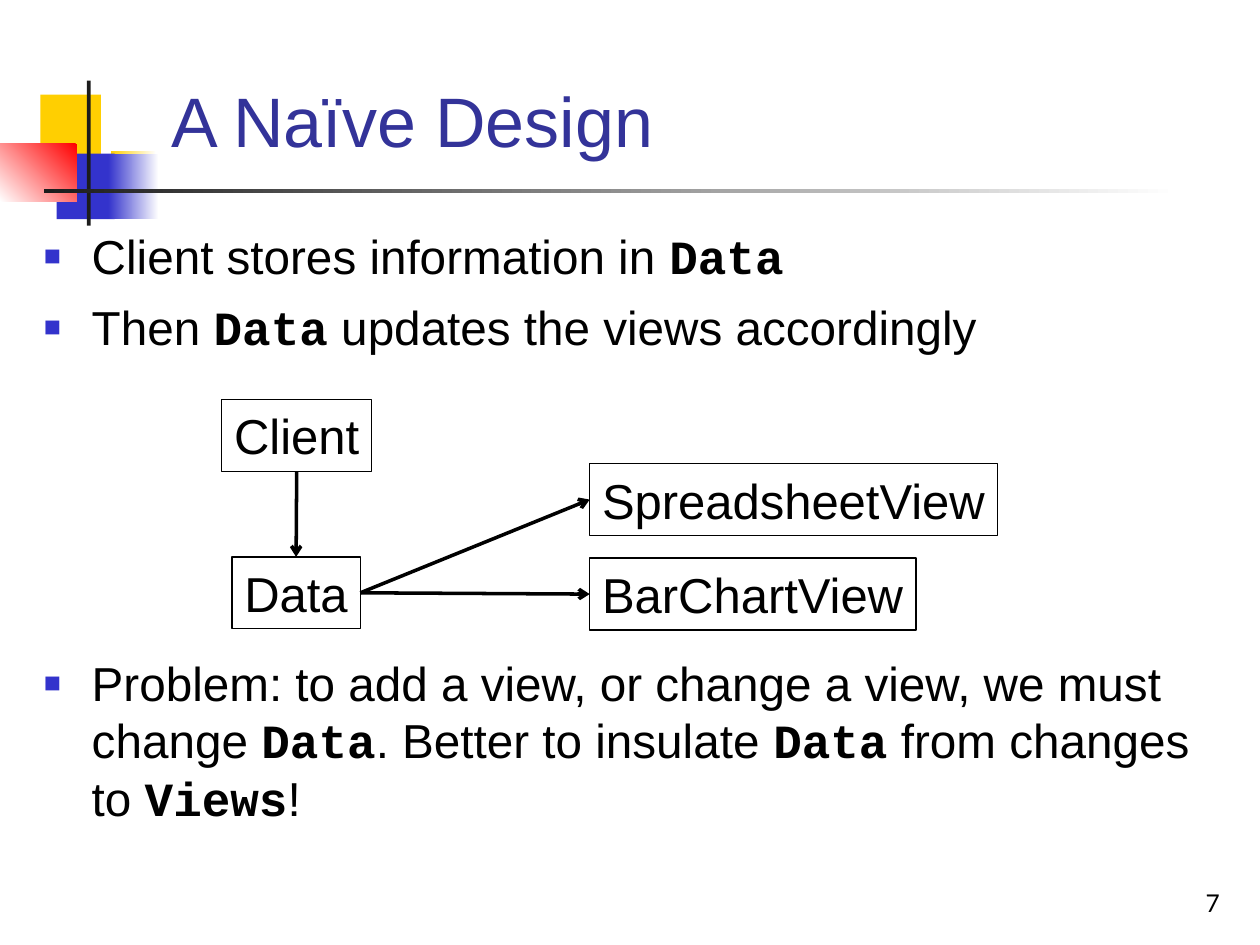
from lxml import etree
from pptx import Presentation
from pptx.dml.color import RGBColor
from pptx.enum.shapes import MSO_CONNECTOR, MSO_SHAPE
from pptx.enum.text import MSO_ANCHOR, MSO_AUTO_SIZE, PP_ALIGN
from pptx.oxml.ns import qn
from pptx.util import Inches, Pt

COLORS = {
    "white": "FFFFFF",
    "black": "000000",
    "charcoal": "1C1C1C",
    "gold": "FFCF01",
    "blue": "3333CC",
    "red": "FF0000",
    "title": "333399",
}
BODY_FONT, CODE_FONT, NUMBER_FONT = "Arial", "Courier New", "Lato"
TOP, LEFT, BOTTOM, RIGHT = range(4)


def rgb(name):
    return RGBColor.from_string(COLORS[name])


class SlideBuilder:
    def __init__(self, slide):
        self.slide = slide

    def rectangle(self, left, top, width, height):
        shape = self.slide.shapes.add_shape(
            MSO_SHAPE.RECTANGLE, Inches(left), Inches(top), Inches(width), Inches(height))
        shape.shadow.inherit = False
        return shape

    def ornament(self, box, colors, angle=180):
        """Borderless block: one color is solid, two make a gradient."""
        shape = self.rectangle(*box)
        shape.line.fill.background()
        if len(colors) == 1:
            shape.fill.solid()
            shape.fill.fore_color.rgb = rgb(colors[0])
            return
        shape.fill.gradient()
        shape.fill.gradient_angle = angle
        for stop, color in zip(shape.fill.gradient_stops, colors):
            stop.color.rgb = rgb(color)

    def run(self, paragraph, text, size, font=BODY_FONT, color="black", bold=False):
        run = paragraph.add_run()
        run.text = text
        run.font.name = font
        run.font.size = Pt(size)
        run.font.bold = bold
        run.font.color.rgb = rgb(color)

    def text_box(self, box, anchor=MSO_ANCHOR.TOP):
        frame = self.slide.shapes.add_textbox(*map(Inches, box)).text_frame
        frame.word_wrap = True
        frame.vertical_anchor = anchor
        return frame

    def label(self, box, text, size, align=PP_ALIGN.LEFT, **style):
        paragraph = self.text_box(box, MSO_ANCHOR.BOTTOM).paragraphs[0]
        paragraph.alignment = align
        self.run(paragraph, text, size, **style)

    def bullet(self, paragraph):
        properties = paragraph._p.get_or_add_pPr()
        properties.set("marL", str(Inches(0.38)))
        properties.set("indent", str(-Inches(0.38)))
        color = etree.SubElement(properties, qn("a:buClr"))
        etree.SubElement(color, qn("a:srgbClr"), val=COLORS["blue"])
        etree.SubElement(properties, qn("a:buSzPct"), val="60000")
        etree.SubElement(properties, qn("a:buFont"), typeface=BODY_FONT)
        etree.SubElement(properties, qn("a:buChar"), char="■")

    def bullet_list(self, box, items, size):
        """Each item is (space before, pieces); odd pieces are code words."""
        frame = self.text_box(box)
        for index, (space, pieces) in enumerate(items):
            paragraph = frame.add_paragraph() if index else frame.paragraphs[0]
            self.bullet(paragraph)
            paragraph.space_before = Pt(space)
            for position, text in enumerate(pieces):
                is_code = position % 2 == 1
                self.run(paragraph, text, size,
                         font=CODE_FONT if is_code else BODY_FONT, bold=is_code)

    def class_box(self, text, left, top, width):
        shape = self.rectangle(left, top, width, 0.57)
        shape.fill.background()
        shape.line.color.rgb = rgb("black")
        shape.line.width = Pt(0.75)
        frame = shape.text_frame
        frame.word_wrap = False
        frame.auto_size = MSO_AUTO_SIZE.SHAPE_TO_FIT_TEXT
        frame.paragraphs[0].alignment = PP_ALIGN.LEFT
        self.run(frame.paragraphs[0], text, 28)
        return shape

    def arrow(self, source, source_side, target, target_side):
        connector = self.slide.shapes.add_connector(MSO_CONNECTOR.STRAIGHT, 0, 0, 0, 0)
        connector.begin_connect(source, source_side)
        connector.end_connect(target, target_side)
        connector.line.color.rgb = rgb("black")
        connector.line.width = Pt(2)
        etree.SubElement(connector.line._get_or_add_ln(), qn("a:tailEnd"), type="arrow")
        etree.SubElement(connector._element.spPr, qn("a:effectLst"))


def main():
    presentation = Presentation()
    presentation.slide_width = Inches(10)
    presentation.slide_height = Inches(7.5)
    builder = SlideBuilder(presentation.slides.add_slide(presentation.slide_layouts[6]))

    # Corner ornament and title rule
    builder.ornament((0.32, 0.75, 0.48, 0.52), ["gold"])
    builder.ornament((0.88, 1.2, 0.36, 0.52), ["white", "gold"])
    builder.ornament((0.45, 1.22, 0.46, 0.52), ["blue"])
    builder.ornament((0.86, 1.22, 0.4, 0.52), ["white", "blue"])
    builder.ornament((0, 1.14, 0.61, 0.46), ["red", "white"], angle=225)
    builder.ornament((0.69, 0.64, 0.03, 1.15), ["charcoal"])
    builder.ornament((0.35, 1.5, 9, 0.03), ["white", "charcoal"])

    # Title, bullets and slide number
    builder.label((1.26, 0.23, 8.52, 1.1), "A Naïve Design", 40, color="title")
    builder.bullet_list((0.25, 1.75, 9.54, 4.96), [
        (0, ["Client stores information in ", "Data"]),
        (8, ["Then ", "Data", " updates the views accordingly"]),
        (171, ["Problem: to add a view, or change a view, we must change ", "Data",
               ". Better to insulate ", "Data", " from changes to ", "Views", "!"]),
    ], 27.2)
    builder.label((7.7, 6.83, 2.08, 0.5), "7", 14, PP_ALIGN.RIGHT, font=NUMBER_FONT)

    # Class diagram
    data = builder.class_box("Data", 1.84, 4.42, 1.02)
    client = builder.class_box("Client", 1.76, 3.17, 1.19)
    spreadsheet_view = builder.class_box("SpreadsheetView", 4.68, 3.68, 3.24)
    bar_chart_view = builder.class_box("BarChartView", 4.68, 4.43, 2.59)
    builder.arrow(client, BOTTOM, data, TOP)
    for view in (spreadsheet_view, bar_chart_view):
        builder.arrow(data, RIGHT, view, LEFT)

    presentation.save("out.pptx")


if __name__ == "__main__":
    main()
